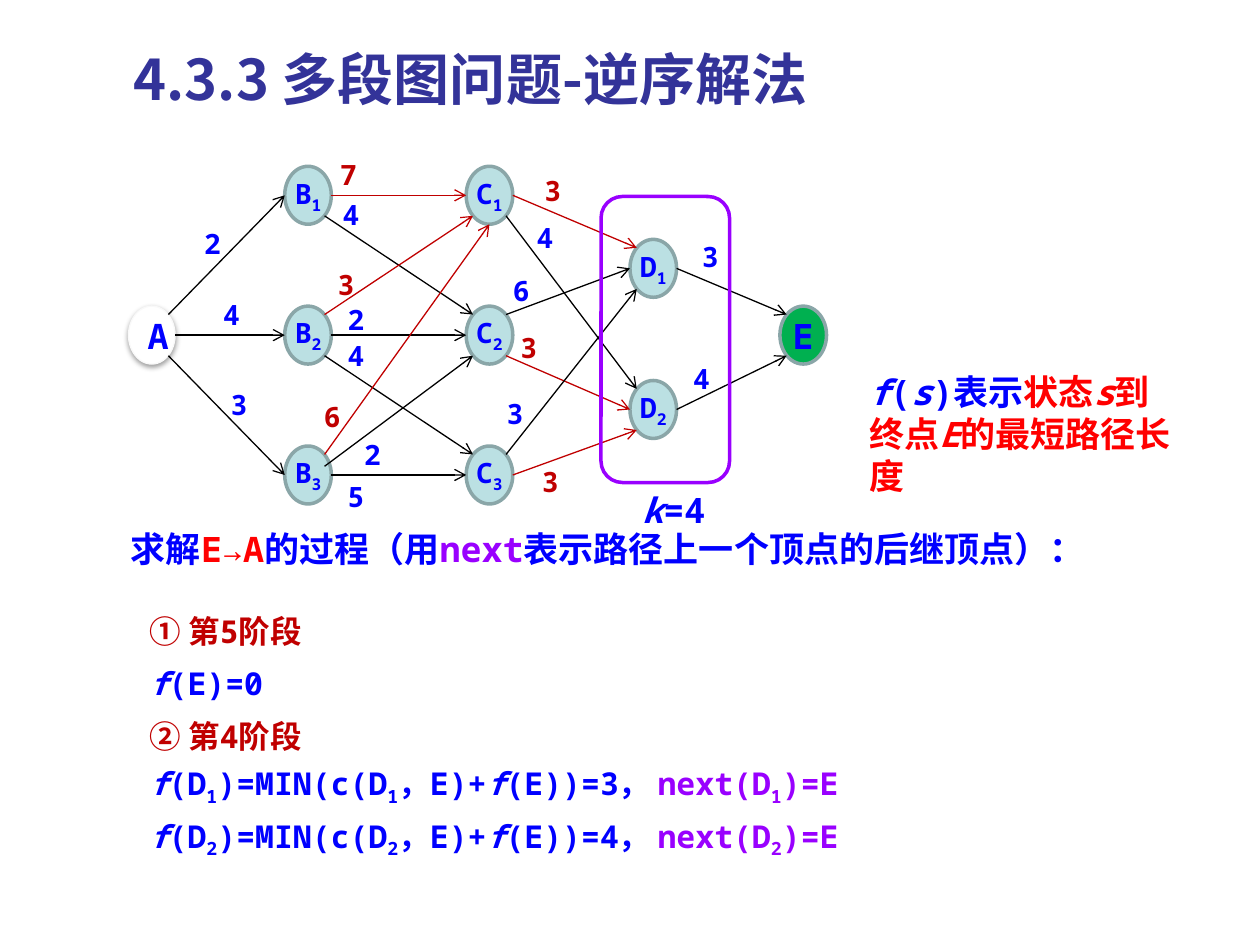
import pptx
import pptx.dml.color
import pptx.enum.shapes
import pptx.enum.text
import pptx.oxml
import pptx.oxml.ns
import pptx.util
from lxml import etree

Inches = pptx.util.Inches
Pt = pptx.util.Pt
MSO = pptx.enum.shapes.MSO_SHAPE
PP = pptx.enum.text.PP_ALIGN
ANCHOR = pptx.enum.text.MSO_ANCHOR
AUTO = pptx.enum.text.MSO_AUTO_SIZE
qn = pptx.oxml.ns.qn

COLORS = {
    "blue": "0000FF", "red": "FF0000", "dark_red": "C00000",
    "purple": "9900FF", "title": "333399", "black": "000000",
    "white": "FFFFFF", "pale": "F9F9F9", "teal": "BBE0E3",
    "rim": "8AA6A8", "green": "00B050",
}
NODE_W, NODE_H = 0.37, 0.46
TOP, MIDDLE, BOTTOM = 1.32, 2.43, 3.54
NODES = {
    "A": (1.02, MIDDLE),
    "B1": (2.26, TOP), "B2": (2.26, MIDDLE), "B3": (2.26, BOTTOM),
    "C1": (3.7, TOP), "C2": (3.7, MIDDLE), "C3": (3.7, BOTTOM),
    "D1": (5, 1.9), "D2": (5, 3.02),
    "E": (6.19, MIDDLE),
}
SITES = {
    "left": (-1, 0), "right": (1, 0), "bottom": (0, 1),
    "upper left": (-0.71, -0.71), "lower left": (-0.71, 0.71),
    "upper right": (0.71, -0.71), "lower right": (0.71, 0.71),
    "inner right": (0.71, -0.3),
}
EDGES = [
    ("A", "upper right", "B1", "left", "2", 1.62, 1.8, "blue"),
    ("A", "right", "B2", "left", "4", 1.77, 2.36, "blue"),
    ("A", "lower right", "B3", "left", "3", 1.83, 3.08, "blue"),
    ("B1", "right", "C1", "left", "7", 2.7, 1.25, "dark_red"),
    ("B1", "lower right", "C2", "upper left", "4", 2.72, 1.57, "blue"),
    ("B2", "upper right", "C1", "lower left", "3", 2.68, 2.12, "dark_red"),
    ("B2", "right", "C2", "left", "2", 2.76, 2.4, "blue"),
    ("B2", "lower right", "C3", "upper left", "4", 2.76, 2.69, "blue"),
    ("B3", "upper right", "C1", "bottom", "6", 2.57, 3.17, "dark_red"),
    ("B3", "inner right", "C2", "lower left", "2", 2.89, 3.47, "blue"),
    ("B3", "right", "C3", "left", "5", 2.76, 3.81, "blue"),
    ("C1", "right", "D1", "upper left", "3", 4.32, 1.38, "dark_red"),
    ("C1", "lower right", "D2", "upper left", "4", 4.26, 1.75, "blue"),
    ("C2", "upper right", "D1", "left", "6", 4.07, 2.17, "blue"),
    ("C2", "lower right", "D2", "left", "3", 4.13, 2.62, "dark_red"),
    ("C3", "upper right", "D1", "lower left", "3", 4.02, 3.15, "blue"),
    ("C3", "right", "D2", "lower left", "3", 4.3, 3.69, "dark_red"),
    ("D1", "right", "E", "upper left", "3", 5.57, 1.9, "blue"),
    ("D2", "right", "E", "lower left", "4", 5.5, 2.87, "blue"),
]


def recurrence(index, cost):
    return [("f", "blue", "i"), ("(D", "blue"), (index, "blue", "sub"),
            (")=MIN(c(D", "blue"), (index, "blue", "sub"), ("，E)+", "blue"),
            ("f", "blue", "i"), (f"(E))={cost}， ", "blue"),
            ("next(D", "purple"), (index, "purple", "sub"), (")=E", "purple")]


def site_point(node, site):
    (x, y), (dx, dy) = NODES[node], SITES[site]
    return (Inches(x + NODE_W / 2 * (1 + dx)), Inches(y + NODE_H / 2 * (1 + dy)))


class Deck:
    """Holds the style and the current slide, and draws each kind of element."""

    latin, asian = "Noto Sans Mono", "Noto Sans CJK SC"

    def __init__(self):
        self.prs = pptx.Presentation()
        self.prs.slide_width, self.prs.slide_height = Inches(10), Inches(7.5)
        self.s = self.prs.slides.add_slide(self.prs.slide_layouts[5])

    def rgb(self, color):
        return pptx.dml.color.RGBColor.from_string(COLORS[color])

    def run(self, p, size, text, color, style="", latin=None):
        r = p.add_run()
        r.text = text
        r.font.size, r.font.bold, r.font.italic = Pt(size), True, style == "i"
        r.font.name = latin or self.latin
        r.font.color.rgb = self.rgb(color)
        rpr = r.font._element
        ea = etree.Element(qn("a:ea"), typeface=self.asian)
        rpr.find(qn("a:latin")).addnext(ea)
        if style == "sub":
            rpr.set("baseline", "-25000")

    def title(self, text, x, y, w, h):
        sp = self.s.shapes.title
        sp.left, sp.top, sp.width, sp.height = map(Inches, (x, y, w, h))
        tf = sp.text_frame
        tf.auto_size, tf.vertical_anchor = AUTO.NONE, ANCHOR.TOP
        p = tf.paragraphs[0]
        p.alignment = PP.LEFT
        self.run(p, 32, text, "title", latin=self.asian)

    def text(self, paragraphs, x, y, w, h, size=20, inset=True, spacing=None):
        tf = self.s.shapes.add_textbox(*map(Inches, (x, y, w, h))).text_frame
        tf.word_wrap, tf.auto_size = True, AUTO.SHAPE_TO_FIT_TEXT
        if not inset:
            tf.margin_left = tf.margin_right = tf.margin_top = tf.margin_bottom = 0
        for i, runs in enumerate(paragraphs):
            p = tf.add_paragraph() if i else tf.paragraphs[0]
            if spacing:
                p.line_spacing = Pt(spacing)
            for run in runs:
                self.run(p, size, *run)

    def shape(self, kind, x, y, w, h, fill, line, width):
        sp = self.s.shapes.add_shape(kind, *map(Inches, (x, y, w, h)))
        sp.shadow.inherit = False
        if fill:
            sp.fill.solid()
            sp.fill.fore_color.rgb = self.rgb(fill)
        else:
            sp.fill.background()
        sp.line.color.rgb, sp.line.width = self.rgb(line), Pt(width)
        return sp

    def node(self, name, fill="teal", line="rim", width=2, size=16, inset=0):
        sp = self.shape(MSO.OVAL, *NODES[name], NODE_W, NODE_H, fill, line, width)
        tf = sp.text_frame
        tf.margin_left = tf.margin_right = Inches(inset)
        tf.vertical_anchor = ANCHOR.MIDDLE
        p = tf.paragraphs[0]
        p.alignment = PP.CENTER
        self.run(p, size, name[0], "blue")
        if name[1:]:
            self.run(p, size, name[1:], "blue", "sub")
        return sp

    def drop_shadow(self, sp):
        effects = sp._element.spPr.find(qn("a:effectLst"))
        shadow = etree.SubElement(effects, qn("a:outerShdw"), blurRad=str(Pt(3.1)),
                                  dist=str(Pt(1.6)), dir="5400000", rotWithShape="0")
        color = etree.SubElement(shadow, qn("a:srgbClr"), val=COLORS["black"])
        etree.SubElement(color, qn("a:alpha"), val="38000")

    def arrow(self, start, end, color):
        c = self.s.shapes.add_connector(
            pptx.enum.shapes.MSO_CONNECTOR.STRAIGHT, *start, *end)
        c.line.color.rgb, c.line.width = self.rgb(color), Pt(0.75)
        etree.SubElement(c.line._get_or_add_ln(), qn("a:tailEnd"), type="arrow")
        etree.SubElement(c._element.spPr, qn("a:effectLst"))

    def edge(self, start, start_site, end, end_site, cost, x, y, color):
        line = "black" if color == "blue" else color
        self.arrow(site_point(start, start_site), site_point(end, end_site), line)
        self.text([[(cost, color)]], x, y, 0.19, 0.27, size=16, inset=False)


def main():
    deck = Deck()
    deck.title("4.3.3 多段图问题-逆序解法", 0.96, 0.3, 8.61, 1.01)
    deck.text([[("求解", "blue"), ("E→A", "red"), ("的过程（用", "blue"),
                ("next", "purple"), ("表示路径上一个顶点的后继顶点）：", "blue")]],
              0.94, 4.14, 8.75, 0.44)
    special = {"A": ("white", "pale", 0.75, 20, 0.1), "E": ("green", "rim", 2, 20)}
    for name in NODES:
        sp = deck.node(name, *special.get(name, ()))
        if name == "A":
            deck.drop_shadow(sp)
    for edge in EDGES:
        deck.edge(*edge)
    deck.text([[("① 第5阶段", "dark_red")],
               [("f", "blue", "i"), ("(E)=0", "blue")],
               [("② 第4阶段", "dark_red")],
               recurrence("1", 3), recurrence("2", 4)],
              1.09, 4.69, 6.17, 2.2, size=18, spacing=30)
    deck.shape(MSO.ROUNDED_RECTANGLE, 4.77, 1.56, 1.02, 2.27, None, "purple", 2)
    deck.text([[("k", "blue", "i"), ("=4", "blue")]], 5, 3.83, 0.72, 0.44)
    deck.text([[("f", "blue", "i"), ("(", "blue"), ("s", "blue", "i"),
                (")表示", "blue"), ("状态", "red"), ("s", "red", "i"),
                ("到终点", "red"), ("E", "red", "i"), ("的最短路径长度", "red")]],
              6.8, 2.89, 2.66, 0.77)
    deck.prs.save("out.pptx")


if __name__ == "__main__":
    main()
